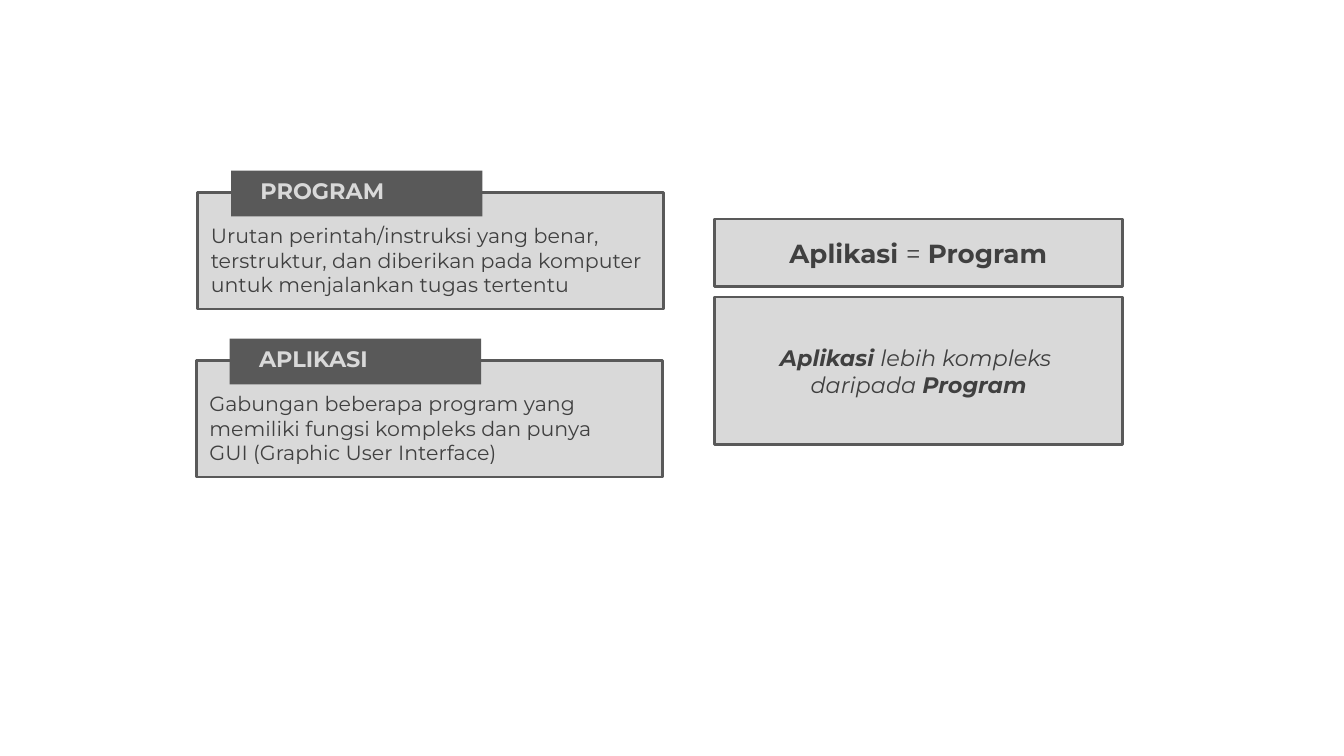
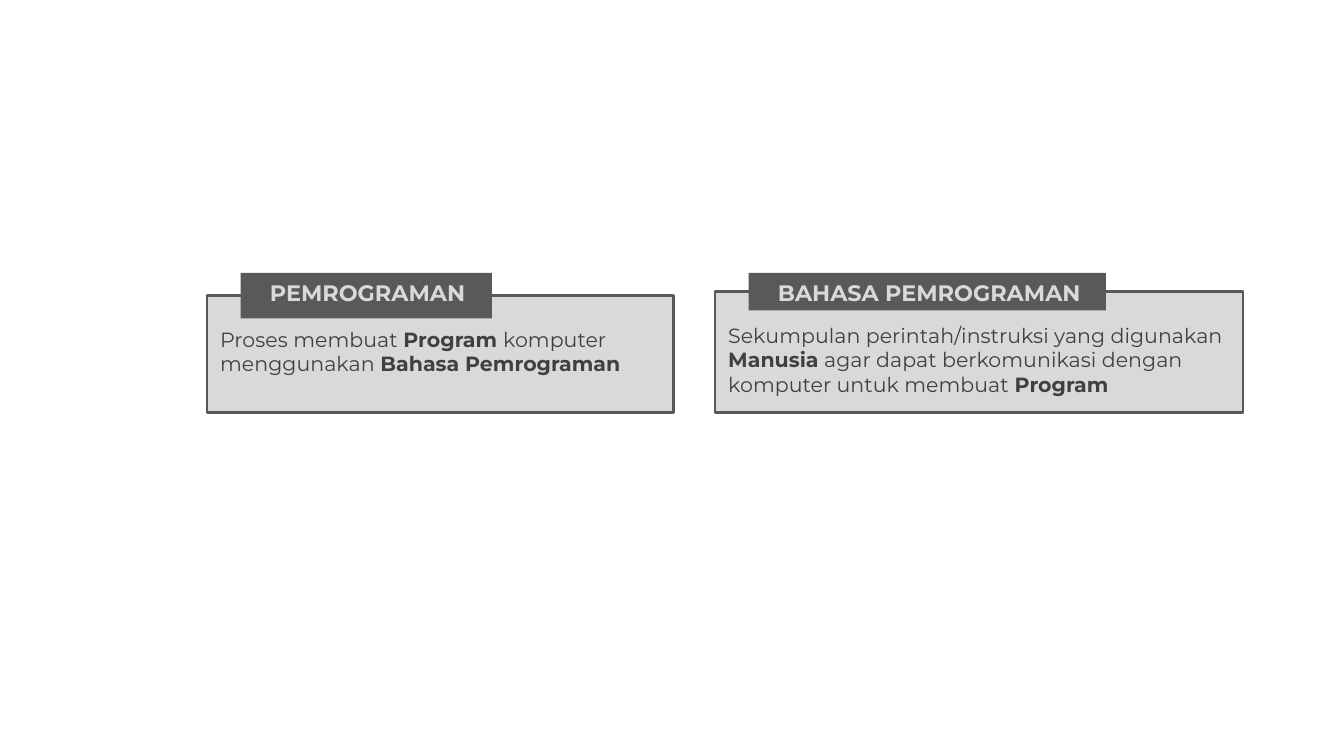
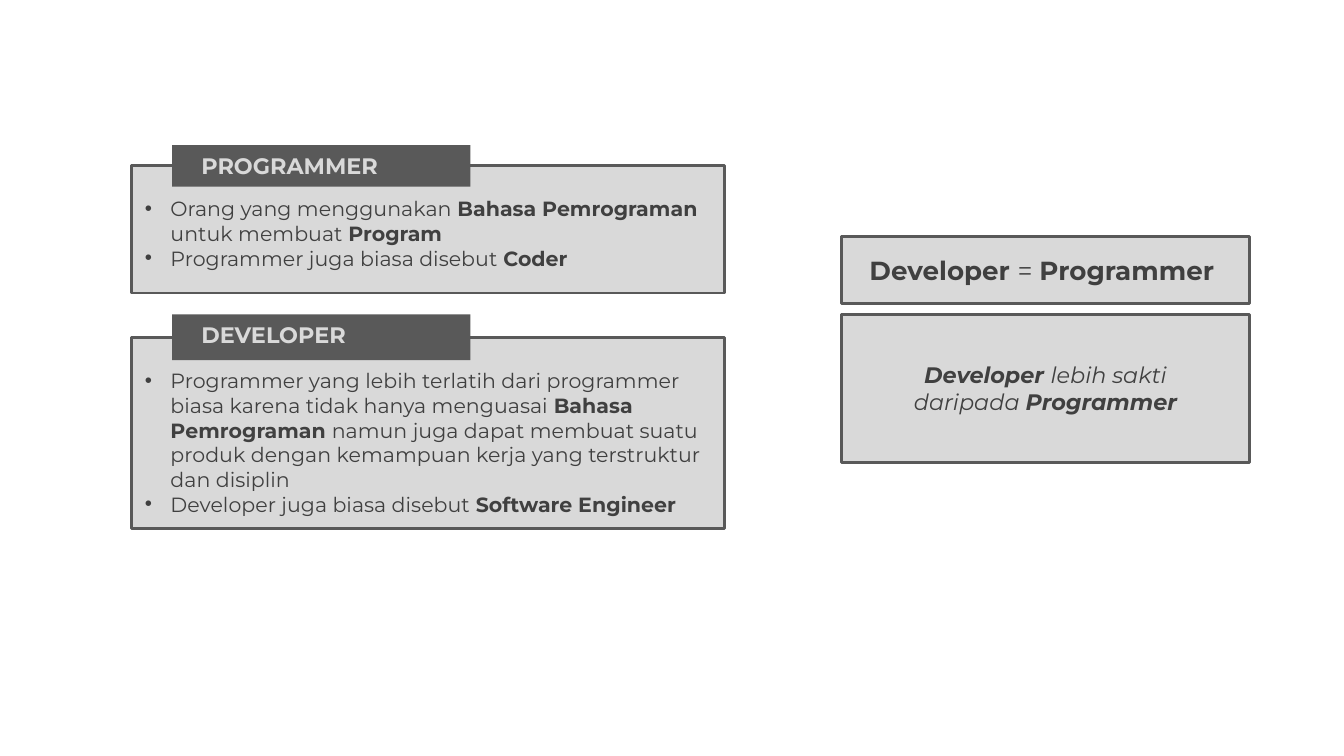
"""Three slides that compare programming terms with labelled panels."""
from lxml.etree import SubElement
from pptx import Presentation
from pptx.dml.color import RGBColor
from pptx.enum.shapes import MSO_SHAPE
from pptx.enum.text import MSO_ANCHOR, PP_ALIGN
from pptx.oxml.ns import qn
from pptx.util import Inches, Pt

COLORS = {"panel": "D9D9D9", "dark": "595959", "text": "404040"}
FONT = "Montserrat"
SLIDE_WIDTH, SLIDE_HEIGHT = 10, 5.625
BLANK_LAYOUT = 6

# Space that a panel keeps free under its tag, and the shared indents
PANEL_TOP_INSET = 0.23
TAG_INDENT = 0.12
BULLET_INDENT = 0.19

# The two boxes of a verdict share a width and stand one above the other
VERDICT_WIDTH, EQUATION_HEIGHT, REMARK_HEIGHT, VERDICT_GAP = 3.04, 0.5, 1.1, 0.08

# Text marks: *bold* inside a line; a line that starts with "- " has a bullet.
# Panels: tag text, panel (left, top, width, height),
#         tag (offset right, rise above the panel, width, height), lines.
# Verdicts: (left, top), equation, remark lines.
SLIDES = [
    {
        "panels": [
            ("PROGRAM", (1.47, 1.43, 3.47, 0.87), (0.25, 0.16, 1.87, 0.34), [
                "Urutan perintah/instruksi yang benar, ",
                "terstruktur, dan diberikan pada komputer ",
                "untuk menjalankan tugas tertentu"]),
            ("APLIKASI", (1.46, 2.68, 3.47, 0.87), (0.25, 0.16, 1.87, 0.34), [
                "Gabungan beberapa program yang ",
                "memiliki fungsi kompleks dan punya ",
                "GUI (Graphic User Interface)"]),
        ],
        "verdict": ((5.315, 1.63), " *Aplikasi *= *Program *", [
            "*Aplikasi *lebih kompleks ",
            "daripada *Program*"]),
    },
    {
        "panels": [
            ("PEMROGRAMAN", (1.54, 2.2, 3.47, 0.87), (0.25, 0.17, 1.87, 0.34), [
                "Proses membuat *Program *komputer ",
                "menggunakan *Bahasa Pemrograman*"]),
            ("BAHASA PEMROGRAMAN", (5.32, 2.17, 3.93, 0.9), (0.25, 0.14, 2.66, 0.28), [
                "Sekumpulan perintah/instruksi yang digunakan "
                "*Manusia* agar dapat berkomunikasi dengan ",
                "komputer untuk membuat *Program*"]),
        ],
    },
    {
        "panels": [
            ("PROGRAMMER", (0.98, 1.23, 4.41, 0.95), (0.3, 0.15, 2.22, 0.31), [
                "- Orang yang menggunakan *Bahasa Pemrograman *untuk membuat *Program*",
                "- Programmer juga biasa disebut *Coder*"]),
            ("DEVELOPER", (0.98, 2.51, 4.41, 1.42), (0.3, 0.17, 2.22, 0.34), [
                "- Programmer yang lebih terlatih dari programmer ",
                "biasa karena tidak hanya menguasai *Bahasa *",
                "*Pemrograman *namun juga dapat membuat suatu produk "
                "dengan kemampuan kerja yang terstruktur dan disiplin",
                "- Developer juga biasa disebut *Software Engineer*"]),
        ],
        "verdict": ((6.26, 1.76), "*Developer *= *Programmer *", [
            "*Developer *lebih sakti",
            "daripada *Programmer*"]),
    },
]


def color(name):
    """Return the named colour of the palette."""
    return RGBColor.from_string(COLORS[name])


def indent(para, left, first=0, bullet=False):
    """Set the indents of a paragraph and, if asked, its bullet."""
    properties = para._p.get_or_add_pPr()
    properties.set("marL", str(Inches(left)))
    properties.set("indent", str(Inches(first)))
    if bullet:
        SubElement(properties, qn("a:buFont"), typeface="Arial")
        SubElement(properties, qn("a:buChar"), char="•")


def write(box, lines, size=11, tint="text", italic=False, align=PP_ALIGN.LEFT,
          anchor=MSO_ANCHOR.TOP, top=0.05, left_indent=0):
    """Fill a box with marked lines, one paragraph each."""
    frame = box.text_frame
    frame.word_wrap = True
    frame.vertical_anchor = anchor
    frame.margin_top = Inches(top)
    bulleted = any(line.startswith("- ") for line in lines)
    for index, line in enumerate(lines):
        para = frame.paragraphs[0] if index == 0 else frame.add_paragraph()
        para.alignment = align
        if line.startswith("- "):
            indent(para, BULLET_INDENT, -BULLET_INDENT, bullet=True)
        elif bulleted or left_indent:
            indent(para, BULLET_INDENT if bulleted else left_indent)
        for part, words in enumerate(line.removeprefix("- ").split("*")):
            if words:
                span = para.add_run()
                span.text = words
                span.font.name = FONT
                span.font.size = Pt(size)
                span.font.bold = part % 2 == 1
                span.font.italic = italic
                span.font.color.rgb = color(tint)


def add_box(page, left, top, width, height, fill="panel", line="dark"):
    """Add a flat rectangle, outlined unless line is None."""
    box = page.shapes.add_shape(MSO_SHAPE.RECTANGLE, Inches(left), Inches(top),
                                Inches(width), Inches(height))
    box.shadow.inherit = False
    box.fill.solid()
    box.fill.fore_color.rgb = color(fill)
    if line:
        box.line.color.rgb = color(line)
        box.line.width = Pt(1.5)
    else:
        box.line.fill.background()
    return box


def add_panel(page, label, area, tag, lines):
    """Add a definition panel with its tag over the top edge."""
    left, top, width, height = area
    offset, rise, tag_width, tag_height = tag
    write(add_box(page, left, top, width, height), lines, top=PANEL_TOP_INSET)
    tag_box = add_box(page, left + offset, top - rise, tag_width, tag_height,
                      fill="dark", line=None)
    write(tag_box, [f"*{label}*"], size=12, tint="panel", left_indent=TAG_INDENT)


def add_verdict(page, corner, equation, remark):
    """Add the equation box and the remark box below it."""
    left, top = corner
    centred = {"align": PP_ALIGN.CENTER, "anchor": MSO_ANCHOR.MIDDLE}
    equation_box = add_box(page, left, top, VERDICT_WIDTH, EQUATION_HEIGHT)
    write(equation_box, [equation], size=14, **centred)
    remark_box = add_box(page, left, top + EQUATION_HEIGHT + VERDICT_GAP,
                         VERDICT_WIDTH, REMARK_HEIGHT)
    write(remark_box, remark, size=12, italic=True, **centred)


def build():
    """Build the deck and save it."""
    deck = Presentation()
    deck.slide_width = Inches(SLIDE_WIDTH)
    deck.slide_height = Inches(SLIDE_HEIGHT)
    for content in SLIDES:
        page = deck.slides.add_slide(deck.slide_layouts[BLANK_LAYOUT])
        for panel in content["panels"]:
            add_panel(page, *panel)
        if "verdict" in content:
            add_verdict(page, *content["verdict"])
    deck.save("out.pptx")


build()
